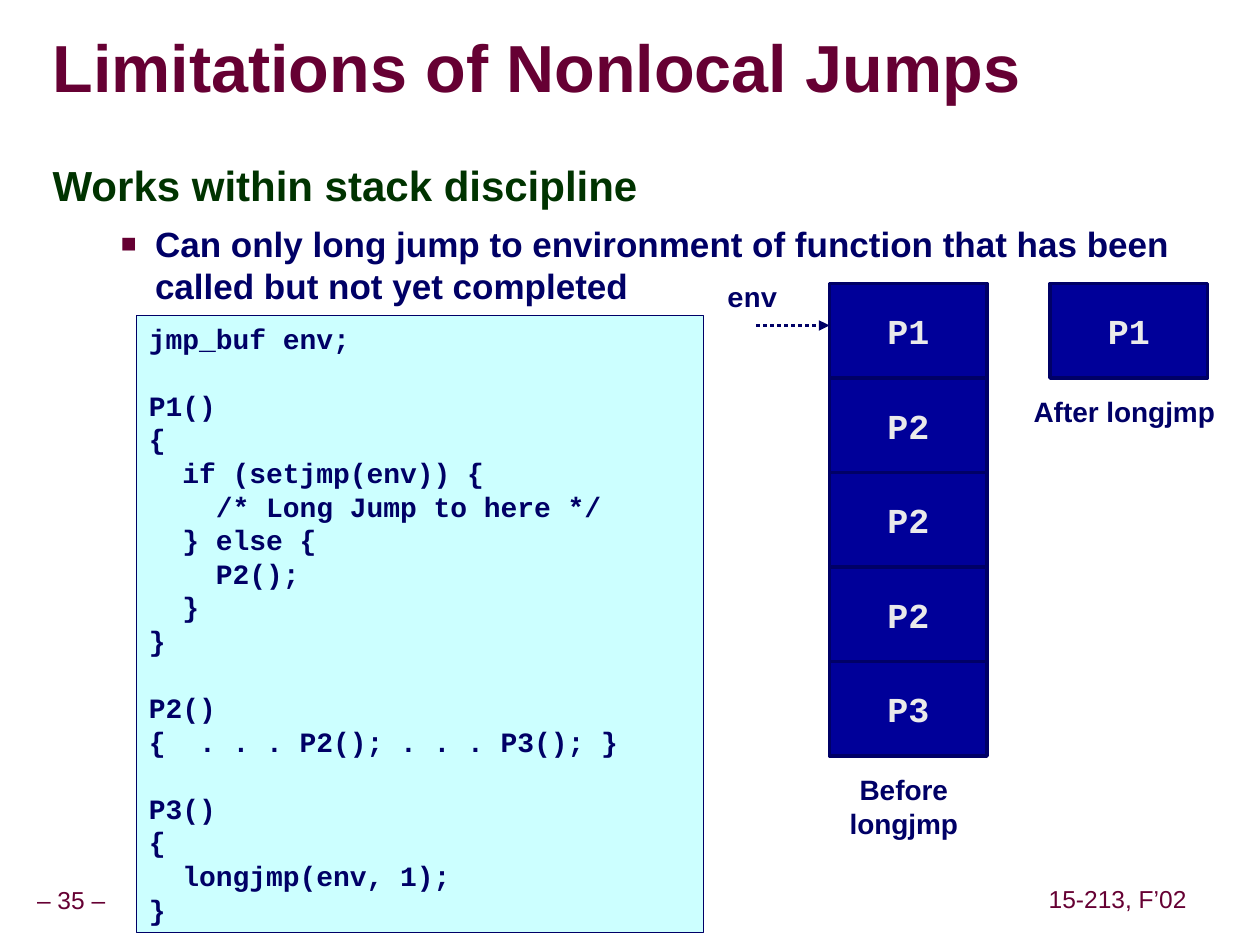
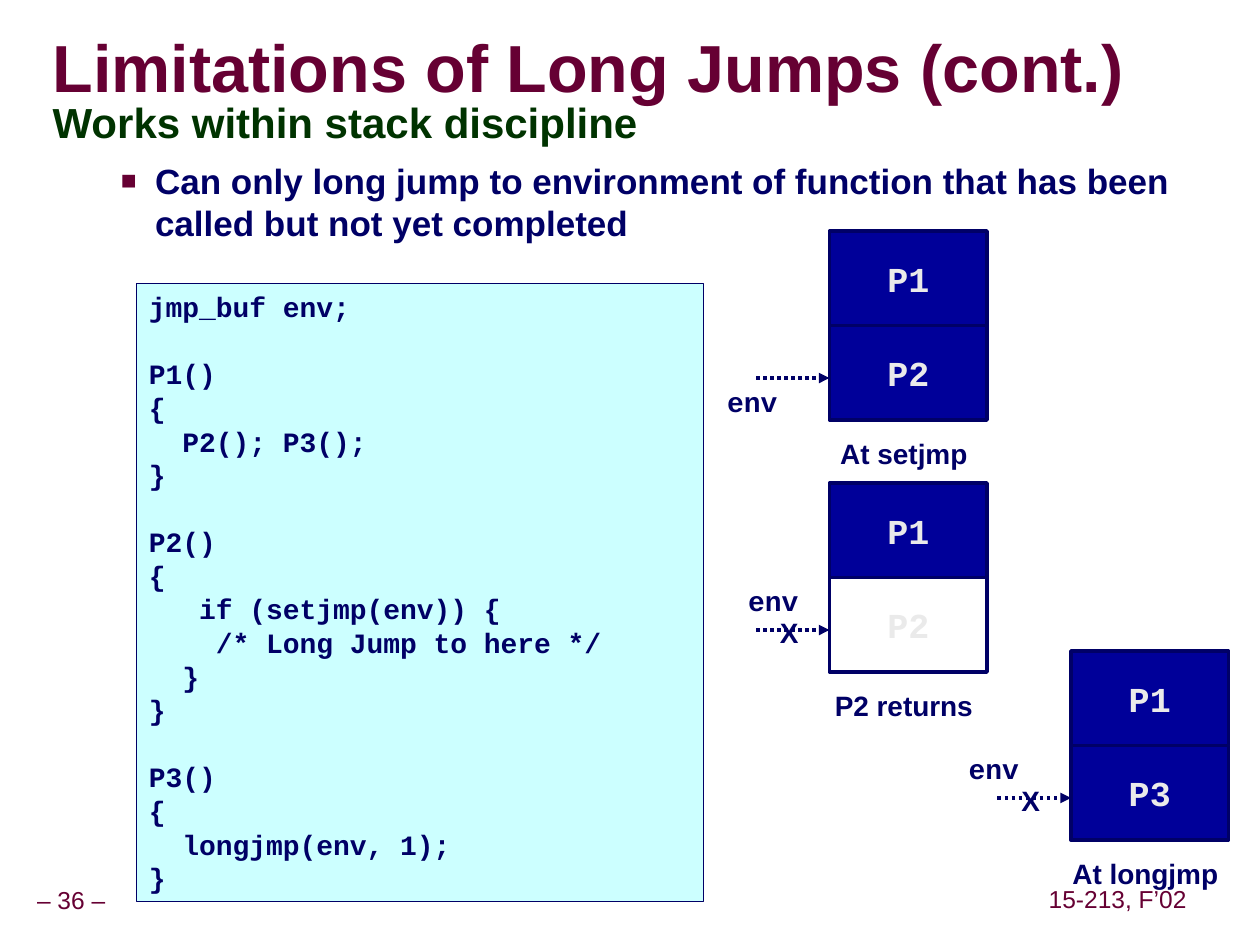
from lxml import etree
from pptx import Presentation
from pptx.dml.color import RGBColor
from pptx.enum.dml import MSO_LINE
from pptx.enum.shapes import MSO_CONNECTOR, MSO_SHAPE
from pptx.enum.text import MSO_ANCHOR, PP_ALIGN
from pptx.oxml.ns import qn
from pptx.util import Pt

# Shared look
WINE = RGBColor(0x66, 0x00, 0x33)
GREEN = RGBColor(0x00, 0x33, 0x00)
NAVY = RGBColor(0x00, 0x00, 0x66)
BLUE = RGBColor(0x00, 0x00, 0x99)
CYAN = RGBColor(0xCC, 0xFF, 0xFF)
PALE = RGBColor(0xEA, 0xEA, 0xEA)
WHITE = RGBColor(0xFF, 0xFF, 0xFF)
SANS, MONO = "Arial", "Courier New"
LEFT, CENTER = PP_ALIGN.LEFT, PP_ALIGN.CENTER
TOP, MIDDLE = MSO_ANCHOR.TOP, MSO_ANCHOR.MIDDLE
RECT, LINE, DOTS = MSO_SHAPE.RECTANGLE, MSO_CONNECTOR.STRAIGHT, MSO_LINE.ROUND_DOT

# Stack frame size
WIDE, HIGH = 90, 54

HEAD = "Works within stack discipline"
POINT = ("Can only long jump to environment of function "
         "that has been called but not yet completed")

NESTED = """jmp_buf env;

P1()
{
  if (setjmp(env)) {
    /* Long Jump to here */
  } else {
    P2();
  }
}

P2()
{  . . . P2(); . . . P3(); }

P3()
{
  longjmp(env, 1);
}"""

RETURNED = """jmp_buf env;

P1()
{
  P2(); P3();
}

P2()
{
   if (setjmp(env)) {
    /* Long Jump to here */
  }
}

P3()
{
  longjmp(env, 1);
}"""


def style(para, size, color, face=SANS, bold=True, align=LEFT):
    para.alignment = align
    font = para.font
    font.name, font.size, font.bold = face, Pt(size), bold
    font.color.rgb = color


def frame(shape, wrap=False, anchor=TOP, side=7.2, edge=3.6):
    body = shape.text_frame
    body.word_wrap = wrap
    body.vertical_anchor = anchor
    body.margin_left = body.margin_right = Pt(side)
    body.margin_top = body.margin_bottom = Pt(edge)
    return body


def text_box(slide, x, y, w, h, **opts):
    return frame(slide.shapes.add_textbox(Pt(x), Pt(y), Pt(w), Pt(h)), **opts)


def label(slide, text, x, y, w, face=SANS, align=LEFT):
    para = text_box(slide, x, y, w, 26.6).paragraphs[0]
    para.text = text
    style(para, 16, NAVY, face, align=align)


def rect(slide, x, y, w, h, fill, width):
    shape = slide.shapes.add_shape(RECT, Pt(x), Pt(y), Pt(w), Pt(h))
    shape.shadow.inherit = False
    shape.fill.solid()
    shape.fill.fore_color.rgb = fill
    shape.line.color.rgb = NAVY
    shape.line.width = Pt(width)
    return shape


def bullet(para):
    props = para._p.get_or_add_pPr()
    props.set("marL", str(Pt(58.5)))
    props.set("indent", str(Pt(-19.5)))
    color = etree.SubElement(props, qn("a:buClr"))
    etree.SubElement(color, qn("a:srgbClr"), val=str(WINE))
    etree.SubElement(props, qn("a:buSzPct"), val="75000")
    etree.SubElement(props, qn("a:buFont"), typeface=SANS)
    etree.SubElement(props, qn("a:buChar"), char="■")


def footer(slide, text, x, y, w):
    para = text_box(slide, x, y, w, 22.3, anchor=MIDDLE, side=3.6).paragraphs[0]
    para.text = text
    para.line_spacing = 0.9
    style(para, 14, WINE, bold=False, align=CENTER)


def base(deck, title, number, top):
    """Blank slide with title, body text at the given top, and footers."""
    slide = deck.slides.add_slide(deck.slide_layouts[6])
    footer(slide, f"– {number} –", -6.5, 504, 94.3)
    footer(slide, "15-213, F’02", 595.5, 503.3, 86.4)

    para = text_box(slide, 30, 18, 640, 45.4, wrap=True, anchor=MIDDLE,
                    side=0, edge=0).paragraphs[0]
    para.text = title
    para.line_spacing = 0.87
    style(para, 38, WINE)

    body = text_box(slide, 23, top, 654.5, 91.4, wrap=True)
    head, point = body.paragraphs[0], body.add_paragraph()
    head.text, point.text = HEAD, POINT
    head.line_spacing = 0.95
    style(head, 24, GREEN)
    point.space_before = Pt(6.2)
    bullet(point)
    style(point, 20, NAVY)
    return slide


def code(slide, text, y):
    body = frame(rect(slide, 78, y, 324, 353, CYAN, 0.25), wrap=True)
    for i, line in enumerate(text.split("\n")):
        para = body.add_paragraph() if i else body.paragraphs[0]
        para.text = line
        style(para, 16, NAVY, MONO)


def stack(slide, x, y, names, caption, gone=()):
    """Frames from top to bottom with a caption; those in gone are unfilled."""
    for i, name in enumerate(names):
        fill = WHITE if name in gone else BLUE
        shape = rect(slide, x, y + i * HIGH, WIDE, HIGH, fill, 2)
        para = frame(shape, anchor=MIDDLE).paragraphs[0]
        para.text = name
        style(para, 20, PALE, MONO, align=CENTER)
    label(slide, caption, x - 23, y + len(names) * HIGH + 6, 131, align=CENTER)


def env(slide, x, y, dx=-65.5, dy=-30, dead=False):
    """Dotted arrow that ends at x, y; a dead one is crossed out."""
    arrow = slide.shapes.add_connector(LINE, Pt(x - 42), Pt(y), Pt(x), Pt(y))
    arrow.line.color.rgb = NAVY
    arrow.line.width = Pt(2)
    arrow.line.dash_style = DOTS
    etree.SubElement(arrow.line._get_or_add_ln(), qn("a:tailEnd"), type="triangle")
    etree.SubElement(arrow._element.spPr, qn("a:effectLst"))
    label(slide, "env", x + dx, y + dy, 43.2, MONO)
    if dead:
        label(slide, "X", x - 35.5, y - 12, 25.2)


def main():
    deck = Presentation()
    deck.slide_width, deck.slide_height = Pt(720), Pt(540)

    # Jump back to a caller that is still active
    slide = base(deck, "Limitations of Nonlocal Jumps", 35, 90)
    code(slide, NESTED, 180)
    stack(slide, 474, 162, ["P1", "P2", "P2", "P2", "P3"], "Before longjmp")
    env(slide, 474, 186)
    stack(slide, 600, 162, ["P1"], "After longjmp")

    # Jump to a function that has returned
    slide = base(deck, "Limitations of Long Jumps (cont.)", 36, 54)
    code(slide, RETURNED, 162)
    stack(slide, 474, 132, ["P1", "P2"], "At setjmp")
    env(slide, 474, 216, dy=0)
    stack(slide, 474, 276, ["P1", "P2"], "P2 returns", gone=["P2"])
    env(slide, 474, 360, dx=-53.5, dead=True)
    stack(slide, 612, 372, ["P1", "P3"], "At longjmp")
    env(slide, 612, 456, dead=True)

    deck.save("out.pptx")


if __name__ == "__main__":
    main()
